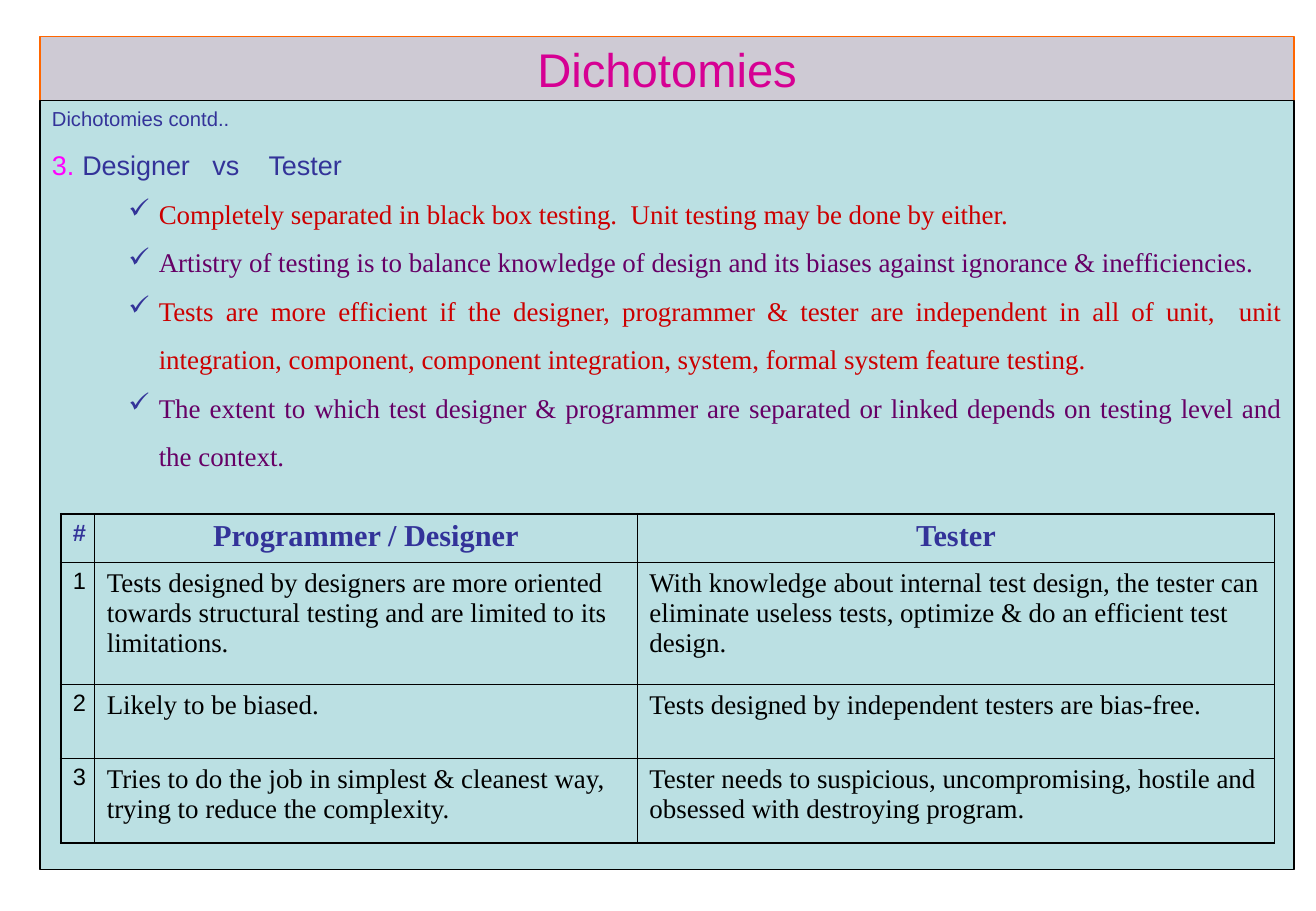
from lxml import etree
from pptx import Presentation
from pptx.dml.color import RGBColor
from pptx.enum.shapes import MSO_SHAPE
from pptx.enum.text import MSO_ANCHOR, MSO_AUTO_SIZE, PP_ALIGN
from pptx.oxml.ns import qn
from pptx.util import Emu, Inches, Pt

CENTER, LEFT, JUSTIFY = PP_ALIGN.CENTER, PP_ALIGN.LEFT, PP_ALIGN.JUSTIFY
MIDDLE, TOP = MSO_ANCHOR.MIDDLE, MSO_ANCHOR.TOP
NO_FIT = MSO_AUTO_SIZE.NONE
RECTANGLE = MSO_SHAPE.RECTANGLE

BLACK = RGBColor(0x00, 0x00, 0x00)
LAVENDER = RGBColor(0xCE, 0xCA, 0xD4)
ORANGE = RGBColor(0xFF, 0x66, 0x00)
MAGENTA = RGBColor(0xD6, 0x00, 0x93)
PINK = RGBColor(0xFF, 0x00, 0xFF)
PALE_TEAL = RGBColor(0xBB, 0xE0, 0xE3)
INDIGO = RGBColor(0x33, 0x33, 0x99)
RED = RGBColor(0xCC, 0x00, 0x00)
PURPLE = RGBColor(0x66, 0x00, 0x66)

SANS, SERIF = "Arial", "Times New Roman"
OUTER_LINE, INNER_LINE = Pt(1.08), Pt(0.45)

POINTS = [
    "Completely separated in black box testing.  Unit testing may be done by either.",
    "Artistry of testing is to balance knowledge of design and its biases against "
    "ignorance & inefficiencies.",
    "Tests are more efficient if the designer, programmer & tester are independent in all "
    "of unit,  unit integration, component, component integration, system, formal system "
    "feature testing.",
    "The extent to which test designer & programmer are separated or linked depends on "
    "testing level and the context.",
]
COMPARISON = [
    ("#", "Programmer / Designer", "Tester"),
    ("1",
     "Tests designed by designers are more oriented towards structural testing and are "
     "limited to its limitations.",
     "With knowledge about internal test design, the tester can eliminate useless tests, "
     "optimize & do an efficient test design."),
    ("2", "Likely to be biased.", "Tests designed by independent testers are bias-free."),
    ("3",
     "Tries to do the job in simplest & cleanest way, trying to reduce the complexity.",
     "Tester needs to suspicious, uncompromising, hostile and obsessed with destroying "
     "program."),
]
COLUMN_WIDTHS = (0.28, 4.47, 5.25)
ROW_HEIGHTS = (0.4, 1, 0.61, 0.7)


def set_font(paragraph, name, size, color, bold=False):
    font = paragraph.font
    font.name, font.size, font.bold = name, Pt(size), bold
    font.color.rgb = color


def add_bullet(paragraph, color, tag, **attributes):
    """Add a coloured list marker: a:buChar or a:buAutoNum."""
    props = paragraph._p.get_or_add_pPr()
    marker_color = etree.SubElement(props, qn("a:buClr"))
    etree.SubElement(marker_color, qn("a:srgbClr"), val=str(color))
    etree.SubElement(props, qn(tag), **attributes)


def set_indent(paragraph, left, hanging=0.25):
    props = paragraph._p.get_or_add_pPr()
    props.set("marL", str(Inches(left)))
    props.set("indent", str(-Inches(hanging)))


def set_border(cell, side, width):
    line = etree.SubElement(cell._tc.get_or_add_tcPr(), qn("a:" + side), w=str(width))
    fill = etree.SubElement(line, qn("a:solidFill"))
    etree.SubElement(fill, qn("a:srgbClr"), val=str(BLACK))


def fill_title(slide, left, top, width, height):
    title = slide.shapes.title
    title.left, title.top, title.width, title.height = left, top, width, height
    title.fill.solid()
    title.fill.fore_color.rgb = LAVENDER
    title.line.color.rgb = ORANGE
    title.line.width = Pt(0.75)
    frame = title.text_frame
    frame.text = "Dichotomies"
    frame.auto_size = NO_FIT
    frame.vertical_anchor = MIDDLE
    frame.paragraphs[0].alignment = CENTER
    set_font(frame.paragraphs[0], SANS, 28, MAGENTA)


def add_discussion(slide, left, top, width, height):
    panel = slide.shapes.add_shape(RECTANGLE, left, top, width, height)
    panel.shadow.inherit = False
    panel.fill.solid()
    panel.fill.fore_color.rgb = PALE_TEAL
    panel.line.color.rgb = BLACK
    panel.line.width = Pt(0.75)

    frame = slide.shapes.add_textbox(left, top, width, int(height * 0.49)).text_frame
    frame.word_wrap = True

    # Section note and numbered heading
    note = frame.paragraphs[0]
    note.text = "Dichotomies contd.."
    set_indent(note, 0.25)
    set_font(note, SANS, 12, INDIGO)

    heading = frame.add_paragraph()
    heading.text = "Designer   vs    Tester"
    set_indent(heading, 0.25)
    add_bullet(heading, PINK, "a:buAutoNum", type="arabicPeriod", startAt="3")
    heading.space_before = Pt(10.5)
    set_font(heading, SANS, 16, INDIGO)

    # Ticked points in alternating colours
    for index, text in enumerate(POINTS):
        point = frame.add_paragraph()
        point.text = text
        point.level = 1
        set_indent(point, 0.88)
        add_bullet(point, INDIGO, "a:buChar", char="✓")
        point.alignment = JUSTIFY
        point.line_spacing = 1.5
        set_font(point, SERIF, 16, PURPLE if index % 2 else RED)


def add_comparison(slide, left, top, width, height):
    last_row, last_column = len(COMPARISON) - 1, len(COLUMN_WIDTHS) - 1
    table = slide.shapes.add_table(last_row + 1, last_column + 1,
                                   left, top, width, height).table
    table.first_row = table.horz_banding = False
    for column, share in zip(table.columns, COLUMN_WIDTHS):
        column.width = Emu(int(width * share / sum(COLUMN_WIDTHS)))
    for row, share in zip(table.rows, ROW_HEIGHTS):
        row.height = Emu(int(height * share / sum(ROW_HEIGHTS)))

    for r, texts in enumerate(COMPARISON):
        for c, text in enumerate(texts):
            cell = table.cell(r, c)
            cell.text = text
            cell.vertical_anchor = TOP
            outer_sides = {"lnL": c == 0, "lnR": c == last_column,
                           "lnT": r == 0, "lnB": r == last_row}
            for side, is_outer in outer_sides.items():
                set_border(cell, side, OUTER_LINE if is_outer else INNER_LINE)
            cell.fill.background()

            is_header = r == 0
            paragraph = cell.text_frame.paragraphs[0]
            paragraph.alignment = CENTER if is_header else LEFT
            size = 14 if c == 0 else 18 if is_header else 16
            set_font(paragraph, SANS if c == 0 else SERIF, size,
                     INDIGO if is_header else BLACK, is_header)


def main():
    deck = Presentation()
    deck.slide_width, deck.slide_height = Inches(10.84), Inches(7.5)
    slide = deck.slides.add_slide(deck.slide_layouts[5])

    left, width = Inches(0.33), Inches(10.33)
    title_top, title_height = Inches(0.3), Inches(0.53)
    fill_title(slide, left, title_top, width, title_height)
    add_discussion(slide, left, title_top + title_height, width, Inches(6.33))
    add_comparison(slide, Inches(0.5), Inches(4.23), Inches(10), Inches(2.71))
    deck.save("out.pptx")


if __name__ == "__main__":
    main()
